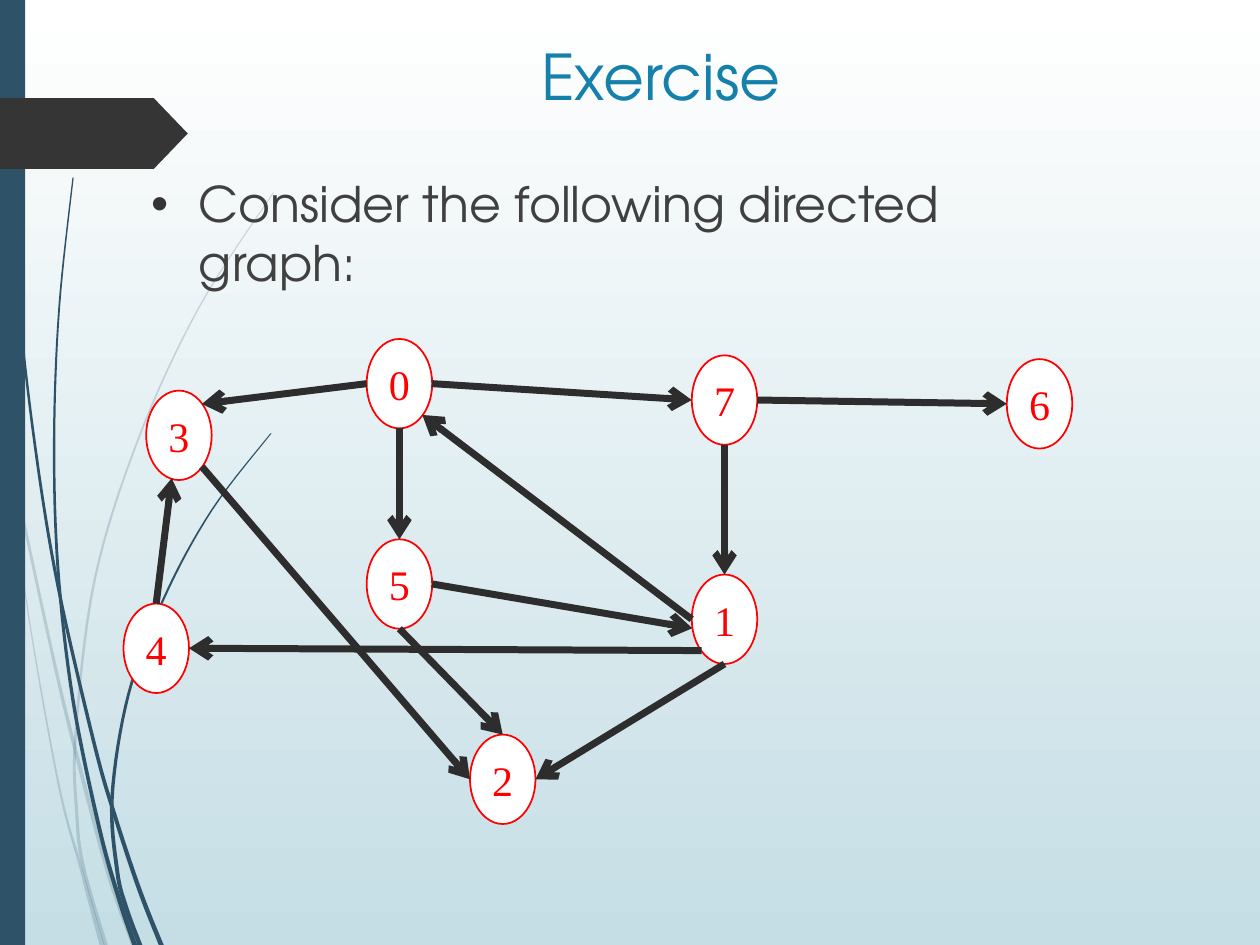
import pptx
import pptx.util
import pptx.dml.color
import pptx.enum.shapes
import pptx.enum.text
import pptx.oxml
import pptx.oxml.ns
from lxml import etree

Inches = pptx.util.Inches
Pt = pptx.util.Pt
RGBColor = pptx.dml.color.RGBColor
Shape = pptx.enum.shapes.MSO_SHAPE
Align = pptx.enum.text.PP_ALIGN
Anchor = pptx.enum.text.MSO_ANCHOR
qn = pptx.oxml.ns.qn

WHITE = RGBColor(0xFF, 0xFF, 0xFF)
MIST = RGBColor(0xC5, 0xDE, 0xE5)
NAVY = RGBColor(0x2E, 0x53, 0x69)
CHARCOAL = RGBColor(0x35, 0x35, 0x35)
TITLE_BLUE = RGBColor(0x15, 0x81, 0xAA)
BODY_GRAY = RGBColor(0x40, 0x40, 0x40)
RED = RGBColor(0xFF, 0x00, 0x00)
EDGE_GRAY = RGBColor(0x2D, 0x2D, 0x2D)

HEAD_FONT = "TeX Gyre Adventor"
NODE_FONT = "Times New Roman"
TITLE = "Exercise"
BODY = "Consider the following directed graph:"

NODE_WIDTH, NODE_HEIGHT = 0.52, 0.71
NODES = {
    "0": (2.91, 2.69), "6": (7.99, 2.85), "7": (5.49, 2.82), "1": (5.49, 4.56),
    "5": (2.91, 4.28), "2": (3.73, 5.83), "4": (0.98, 4.79), "3": (1.16, 3.1),
}
SITES = {
    "N": (0, -0.5), "S": (0, 0.5), "W": (-0.5, 0), "E": (0.5, 0),
    "NE": (0.35, -0.35), "SE": (0.35, 0.35), "SW": (-0.35, 0.35),
    "WSW": (-0.49, 0.1), "SSW": (-0.11, 0.48),
}
EDGES = [
    ("5", "S", "2", "N"), ("7", "E", "6", "W"), ("7", "S", "1", "N"),
    ("1", "W", "0", "SE"), ("5", "E", "1", "WSW"), ("1", "SW", "4", "E"),
    ("4", "N", "3", "SSW"), ("3", "SE", "2", "W"), ("1", "S", "2", "E"),
    ("0", "W", "3", "NE"), ("0", "S", "5", "N"), ("0", "E", "7", "W"),
]

WISPS = [
    (20, 0.01, 0.04, [(0, 2.9), (0.07, 3.45), (0.11, 3.76), (0.42, 5.21),
                      (0.6, 5.96), (0.86, 6.93), (1.06, 7.5)]),
    (20, 0, 0.04, [(0.08, 3.5), (0.2, 4.7), (0.46, 6.2), (0.64, 6.88),
                   (0.71, 7.14), (0.81, 7.5)]),
    (20, 0.01, 0.03, [(2.17, 1.53), (1.58, 2.44), (1.1, 3.48), (0.75, 4.61),
                      (0.6, 5.84), (0.61, 6.46), (0.66, 6.87), (0.84, 7.5)]),
    (100, 0.01, 0.04, [(0.02, 0), (0.05, 1.1), (0.14, 2.33), (0.28, 3.55),
                       (0.46, 4.65), (0.75, 5.91), (0.92, 6.5), (1.11, 7.07),
                       (1.28, 7.5)]),
    (100, 0.01, 0.04, [(0.58, 1.41), (0.47, 2.44), (0.43, 3.49), (0.46, 4.51),
                       (0.58, 5.56), (0.79, 6.58), (0.95, 7.15), (1.07, 7.5)]),
    (100, 0.01, 0.04, [(2.15, 3.44), (1.68, 4.05), (1.3, 4.75), (1.02, 5.51),
                       (0.89, 6.32), (0.93, 6.91), (1.0, 7.2), (1.11, 7.5)]),
]
STEPS = 8


def smooth(points):
    padded = [points[0]] + points + [points[-1]]
    curve = []
    for a, b, c, d in zip(padded, padded[1:], padded[2:], padded[3:]):
        for step in range(STEPS):
            t = step / STEPS
            curve.append(tuple(
                q + t * (r - p) / 2 + t**2 * (2 * p - 5 * q + 4 * r - s) / 2
                + t**3 * (3 * q - p - 3 * r + s) / 2
                for p, q, r, s in zip(a, b, c, d)))
    return curve + [points[-1]]


def paint(shape, color):
    shape.shadow.inherit = False
    shape.fill.solid()
    shape.fill.fore_color.rgb = color
    shape.line.fill.background()


def write(para, text, size, font, color):
    para.text = text
    para.font.size = Pt(size)
    para.font.name = font
    para.font.color.rgb = color


def add_wisp(page, opacity, start_width, end_width, points):
    curve = smooth(points)
    left, right = [], []
    for index, (x, y) in enumerate(curve):
        share = index / (len(curve) - 1)
        half = (start_width + (end_width - start_width) * share) / 2
        left.append((Inches(max(x - half, 0)), Inches(y)))
        right.append((Inches(x + half), Inches(y)))
    outline = left + right[::-1]
    builder = page.shapes.build_freeform(*outline[0])
    builder.add_line_segments(outline[1:], close=True)
    wisp = builder.convert_to_shape()
    paint(wisp, NAVY)
    if opacity < 100:
        tint = wisp.fill._xPr.find(".//" + qn("a:srgbClr"))
        etree.SubElement(tint, qn("a:alpha")).set("val", str(opacity * 1000))


def add_node(page, label, left, top):
    node = page.shapes.add_shape(Shape.OVAL, Inches(left), Inches(top),
                                 Inches(NODE_WIDTH), Inches(NODE_HEIGHT))
    paint(node, WHITE)
    node.line.color.rgb = RED
    node.line.width = Pt(1)
    frame = node.text_frame
    frame.word_wrap = False
    frame.vertical_anchor = Anchor.MIDDLE
    write(frame.paragraphs[0], label, 24, NODE_FONT, RED)
    frame.paragraphs[0].alignment = Align.CENTER


def site(label, side):
    left, top = NODES[label]
    across, down = SITES[side]
    return (Inches(left + (0.5 + across) * NODE_WIDTH),
            Inches(top + (0.5 + down) * NODE_HEIGHT))


def add_edge(page, source, source_side, target, target_side):
    edge = page.shapes.add_connector(
        pptx.enum.shapes.MSO_CONNECTOR.STRAIGHT,
        *site(source, source_side), *site(target, target_side))
    edge.line.color.rgb = EDGE_GRAY
    edge.line.width = Pt(4)
    etree.SubElement(edge.line._get_or_add_ln(), qn("a:tailEnd")).set("type", "arrow")
    etree.SubElement(edge._element.spPr, qn("a:effectLst"))


def add_body(page):
    box = page.shapes.add_textbox(Inches(1.1), Inches(1.33), Inches(7.21), Inches(4.13))
    box.text_frame.word_wrap = True
    para = box.text_frame.paragraphs[0]
    write(para, BODY, 28, HEAD_FONT, BODY_GRAY)
    para.space_before = Pt(10)
    settings = para._p.get_or_add_pPr()
    settings.set("marL", str(Inches(0.38)))
    settings.set("indent", str(-Inches(0.38)))
    bullet_xml = ('<a:{0} xmlns:a="http://schemas.openxmlformats.org/drawingml/2006/main"'
                  ' {1}</a:{0}>')
    bullets = [("buClr", f'><a:srgbClr val="{CHARCOAL}"/>'),
               ("buFont", 'typeface="Arial">'), ("buChar", 'char="•">')]
    position = list(settings).index(settings.find(qn("a:spcBef"))) + 1
    for offset, bullet in enumerate(bullets):
        settings.insert(position + offset, pptx.oxml.parse_xml(bullet_xml.format(*bullet)))


def main():
    deck = pptx.Presentation()
    deck.slide_width, deck.slide_height = Inches(10), Inches(7.5)
    page = deck.slides.add_slide(deck.slide_layouts[5])

    backdrop = page.background.fill
    backdrop.gradient()
    backdrop.gradient_angle = 270
    for stop, color in zip(backdrop.gradient_stops, (WHITE, MIST)):
        stop.color.rgb = color

    for wisp in WISPS:
        add_wisp(page, *wisp)
    rail = page.shapes.add_shape(Shape.RECTANGLE, 0, 0, Inches(0.2), deck.slide_height)
    paint(rail, NAVY)
    tag = page.shapes.add_shape(Shape.PENTAGON, 0, Inches(0.78), Inches(1.49), Inches(0.56))
    tag.adjustments[0] = 0.48
    paint(tag, CHARCOAL)

    title = page.shapes.title
    title.left, title.top = Inches(0.83), Inches(0.25)
    title.width, title.height = Inches(8.83), Inches(1.25)
    title.text_frame.vertical_anchor = Anchor.TOP
    write(title.text_frame.paragraphs[0], TITLE, 36, HEAD_FONT, TITLE_BLUE)
    title.text_frame.paragraphs[0].alignment = Align.CENTER

    add_body(page)
    for label, corner in NODES.items():
        add_node(page, label, *corner)
    for edge in EDGES:
        add_edge(page, *edge)
    deck.save("out.pptx")


if __name__ == "__main__":
    main()
